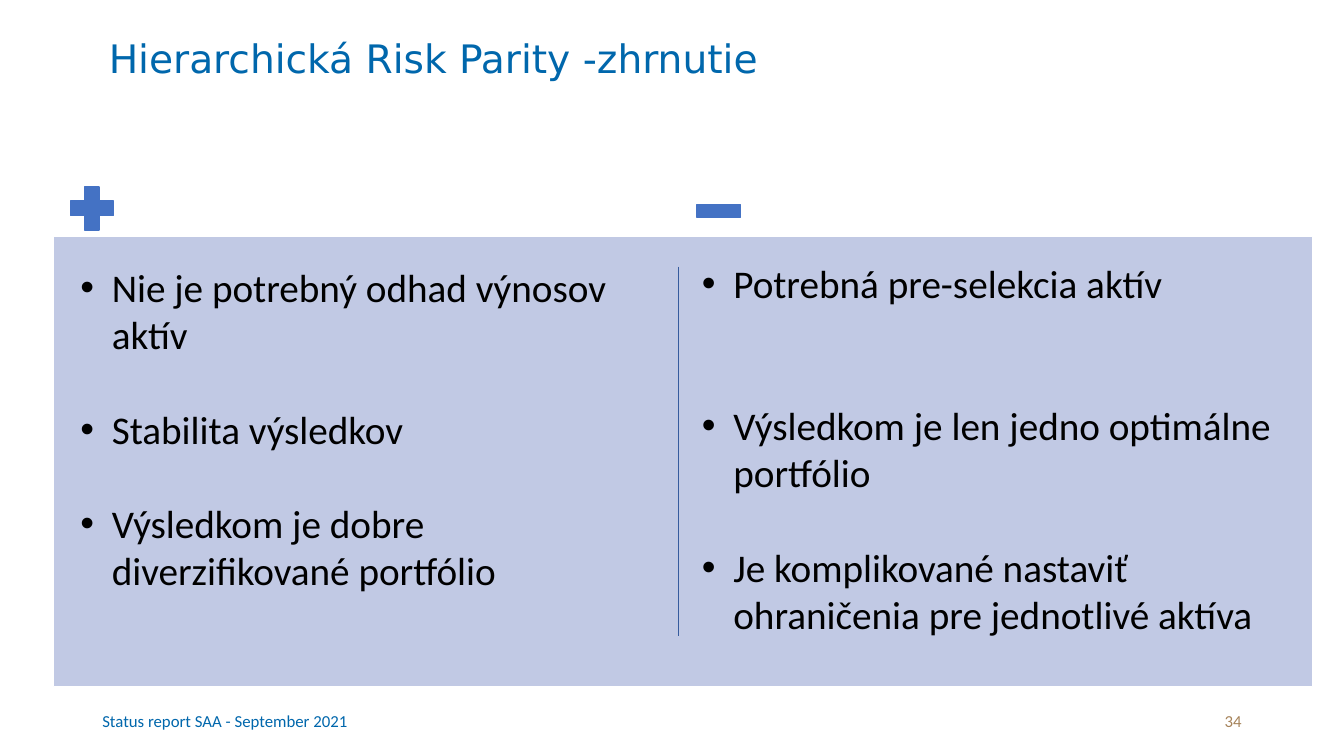
from pptx import Presentation, util as u
from pptx.dml.color import RGBColor
from pptx.enum import shapes as s, text as t
from pptx.oxml.ns import qn
from lxml import etree

PX = 9525  # EMU per px, 96 px to the inch
BLUE, ICON, PANEL = "0067AC", "4472C4", "C1C9E4"
BLANK = 34  # height in points of one line of body text

PROS = [
    ("Nie je potrebný odhad výnosov aktív", 0),
    ("Stabilita výsledkov", 1),
    ("Výsledkom je dobre diverzifikované portfólio", 1),
]
CONS = [
    ("Potrebná pre-selekcia aktív", 0),
    ("Výsledkom je len jedno optimálne portfólio", 2),
    ("Je komplikované nastaviť ohraničenia pre jednotlivé aktíva", 1),
]


def px(*vals):
    return [u.Emu(v * PX) for v in vals]


def color(code):
    return RGBColor.from_string(code)


def add_run(para, words, size, code, font="Calibri"):
    run = para.add_run()
    run.text = words
    run.font.size = u.Pt(size)
    run.font.name = font
    run.font.color.rgb = color(code)


def add_box(slide, box, anchor=t.MSO_ANCHOR.TOP):
    frame = slide.shapes.add_textbox(*px(*box)).text_frame
    frame.word_wrap = True
    frame.vertical_anchor = anchor
    return frame


def add_block(slide, kind, box, fill, line):
    block = slide.shapes.add_shape(kind, *px(*box))
    block.shadow.inherit = False
    block.fill.solid()
    block.fill.fore_color.rgb = color(fill)
    block.line.color.rgb = color(line)
    block.line.width = u.Pt(1)
    return block


def add_bullet(para):
    props = para._p.get_or_add_pPr()
    indent = 30 * PX
    props.set("marL", str(indent))
    props.set("indent", str(-indent))
    font = etree.SubElement(props, qn("a:buFont"))
    font.set("typeface", "Arial")
    etree.SubElement(props, qn("a:buChar")).set("char", "•")


# Title
def add_title(slide, box):
    title = slide.shapes.title
    title.left, title.top, title.width, title.height = px(*box)
    frame = title.text_frame
    frame.word_wrap = True
    frame.auto_size = t.MSO_AUTO_SIZE.NONE
    frame.vertical_anchor = t.MSO_ANCHOR.TOP
    para = frame.paragraphs[0]
    para.alignment = t.PP_ALIGN.LEFT
    para.line_spacing = 0.9
    para.space_before = u.Pt(10)
    add_run(para, "Hierarchická Risk Parity -zhrnutie", 28, BLUE, "DejaVu Sans")


# Column of bullets
def add_list(slide, box, items):
    frame = add_box(slide, box)
    for i, (words, gap) in enumerate(items):
        para = frame.add_paragraph() if i else frame.paragraphs[0]
        para.space_before = u.Pt(gap * BLANK)
        add_bullet(para)
        add_run(para, words, 28, "000000")


# Panel with plus and minus signs, divider and two columns
def add_panel(slide, box):
    x, y, w, h = box
    add_block(slide, s.MSO_SHAPE.RECTANGLE, box, PANEL, "FFFFFF")
    plus = add_block(slide, s.MSO_SHAPE.CROSS, (x + 16, y - 47, 41, 41), ICON, ICON)
    plus.adjustments[0] = 0.33
    add_block(slide, s.MSO_SHAPE.RECTANGLE, (x + 613, y - 30, 41, 12), ICON, ICON)

    mid = x + 595
    rule = slide.shapes.add_connector(
        s.MSO_CONNECTOR.STRAIGHT, *px(mid, y + 29, mid, y + h - 48))
    rule.line.color.rgb = color("365B9D")
    rule.line.width = u.Pt(1)
    etree.SubElement(rule._element.spPr, qn("a:effectLst"))

    add_list(slide, (x + 16, y + 21, 564, 372), PROS)
    add_list(slide, (x + 608, y + 17, 564, 372), CONS)


# Footer and page number
def add_footer(slide, box):
    x, y, w, h = box
    left = add_box(slide, (x, y, 768, h), t.MSO_ANCHOR.MIDDLE)
    add_run(left.paragraphs[0], "Status report SAA - September 2021", 12, BLUE)
    page = add_box(slide, (x + w - 288, y, 288, h), t.MSO_ANCHOR.MIDDLE)
    page.paragraphs[0].alignment = t.PP_ALIGN.RIGHT
    add_run(page.paragraphs[0], "34", 12, "A6835A")


def main():
    deck = Presentation()
    deck.slide_width, deck.slide_height = px(1280, 720)
    slide = deck.slides.add_slide(deck.slide_layouts[5])
    add_title(slide, (94, 33, 1104, 98))
    add_panel(slide, (51, 225, 1199, 429))
    add_footer(slide, (88, 667, 1104, 38))
    deck.save("out.pptx")


if __name__ == "__main__":
    main()
